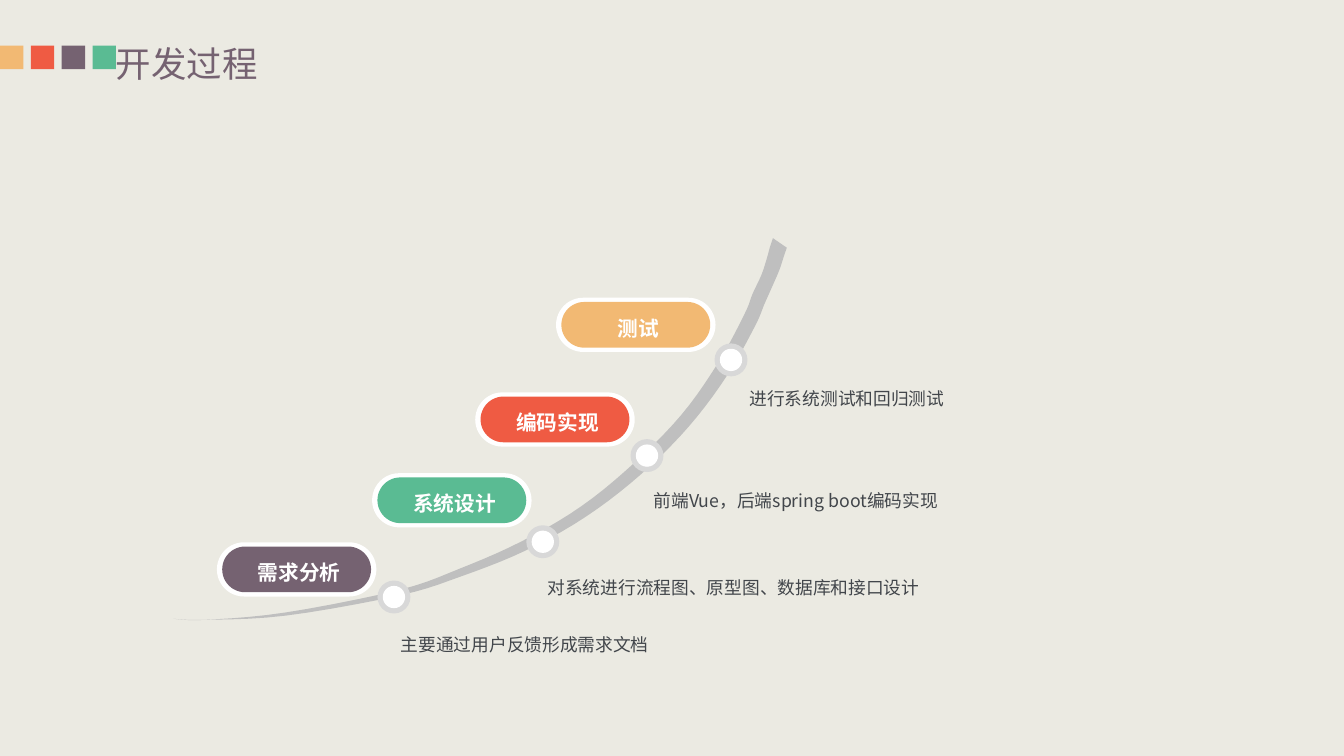
from dataclasses import dataclass

from lxml.etree import SubElement
from pptx import Presentation
from pptx.dml.color import RGBColor
from pptx.enum.shapes import MSO_SHAPE as Preset
from pptx.enum.text import MSO_ANCHOR as Anchor, MSO_AUTO_SIZE as AutoSize, PP_ALIGN as Align
from pptx.oxml.ns import qn
from pptx.shapes.autoshape import Shape
from pptx.slide import Slide
from pptx.text.text import TextFrame
from pptx.util import Emu, Pt

EMU_PER_PX = 9144
FONT = "Noto Sans CJK SC"
PAPER = RGBColor(0xEB, 0xEA, 0xE2)
ORANGE = RGBColor(0xF2, 0xB9, 0x73)
RED = RGBColor(0xEF, 0x5B, 0x43)
PURPLE = RGBColor(0x75, 0x62, 0x71)
GREEN = RGBColor(0x5A, 0xBB, 0x93)
CURVE_GRAY = RGBColor(0xBF, 0xBF, 0xBF)
RING_GRAY = RGBColor(0xD8, 0xD8, 0xD8)
WHITE = RGBColor(0xFF, 0xFF, 0xFF)
INK = RGBColor(0x42, 0x46, 0x4B)

Point = tuple[float, float]

UPPER_EDGE: list[Point] = [
    (163, 582), (193, 583), (269, 576), (375, 555), (432, 535), (491, 509),
    (547, 476), (597, 435), (641, 390), (675, 342), (700, 296), (708, 276),
    (716, 259), (721, 244), (724, 233), (727, 224),
]
LOWER_EDGE: list[Point] = [
    (740, 233), (737, 242), (733, 254), (727, 268), (719, 286), (710, 307),
    (684, 353), (648, 401), (603, 446), (551, 486), (494, 518), (434, 542),
    (376, 560), (269, 579), (192, 583), (163, 582),
]


@dataclass(frozen=True)
class Stage:
    label: str
    detail: str
    color: RGBColor
    pill: tuple[int, int]
    ring: tuple[int, int]
    note: tuple[int, int]


STAGES = [
    Stage("需求分析", "主要通过用户反馈形成需求文档", PURPLE, (204, 510), (355, 546), (377, 593)),
    Stage("系统设计", "对系统进行流程图、原型图、数据库和接口设计", GREEN, (350, 445), (495, 494), (515, 540)),
    Stage("编码实现", "前端Vue，后端spring boot编码实现", RED, (447, 369), (593, 413), (615, 458)),
    Stage("测试", "进行系统测试和回归测试", ORANGE, (523, 280), (672, 323), (705, 362)),
]


def px(length: float) -> Emu:
    return Emu(round(length * EMU_PER_PX))


def paint(shape: Shape, color: RGBColor) -> None:
    shape.shadow.inherit = False
    shape.fill.solid()
    shape.fill.fore_color.rgb = color
    shape.line.fill.background()


def add_preset(page: Slide, preset: Preset, left: int, top: int,
               width: int, height: int, color: RGBColor) -> Shape:
    shape = page.shapes.add_shape(preset, px(left), px(top), px(width), px(height))
    paint(shape, color)
    return shape


def add_pill(page: Slide, left: int, top: int, width: int, height: int, color: RGBColor) -> Shape:
    pill = add_preset(page, Preset.ROUNDED_RECTANGLE, left, top, width, height, color)
    pill.adjustments[0] = 0.5
    return pill


def write(frame: TextFrame, text: str, size: int, color: RGBColor,
          align: Align = Align.LEFT, bold: bool = False) -> None:
    frame.word_wrap = True
    frame.vertical_anchor = Anchor.MIDDLE
    frame.margin_left = frame.margin_right = frame.margin_top = frame.margin_bottom = 0
    para = frame.paragraphs[0]
    para.alignment = align
    para.line_spacing = 1.16
    para.space_before = Pt(0)
    span = para.add_run()
    span.text = text
    span.font.size = Pt(size)
    span.font.bold = bold
    span.font.color.rgb = color
    span.font.name = FONT
    SubElement(span.font._element, qn("a:ea"), typeface=FONT)


def smooth_edge(points: list[Point], steps: int = 5) -> list[Point]:
    padded = [points[0], *points, points[-1]]
    smoothed = [points[0]]
    for before, start, end, after in zip(padded, padded[1:], padded[2:], padded[3:]):
        for step in range(1, steps + 1):
            t = step / steps
            x, y = (
                b + ((c - a) * t + (2 * a - 5 * b + 4 * c - d) * t ** 2
                     + (3 * b - a - 3 * c + d) * t ** 3) / 2
                for a, b, c, d in zip(before, start, end, after)
            )
            smoothed.append((x, y))
    return smoothed


def add_curve(page: Slide) -> None:
    outline = [(px(x), px(y)) for x, y in smooth_edge(UPPER_EDGE) + smooth_edge(LOWER_EDGE)]
    builder = page.shapes.build_freeform(*outline[0])
    builder.add_line_segments(outline[1:], close=True)
    paint(builder.convert_to_shape(), CURVE_GRAY)


def add_header(page: Slide) -> None:
    for index, color in enumerate((ORANGE, RED, PURPLE, GREEN)):
        add_preset(page, Preset.RECTANGLE, index * 29, 43, 22, 22, color)
    title = page.shapes.title
    title.left, title.top, title.width, title.height = px(109), px(34), px(288), px(44)
    write(title.text_frame, "开发过程", 24, PURPLE)
    title.text_frame.auto_size = AutoSize.SHAPE_TO_FIT_TEXT


def add_stage(page: Slide, stage: Stage) -> None:
    left, top = stage.ring
    add_preset(page, Preset.OVAL, left, top, 31, 31, RING_GRAY)
    add_preset(page, Preset.OVAL, left + 5, top + 5, 21, 21, WHITE)

    left, top = stage.pill
    add_pill(page, left, top, 150, 51, WHITE)
    pill = add_pill(page, left + 5, top + 4, 140, 43, stage.color)
    write(pill.text_frame, stage.label, 14, WHITE, Align.CENTER, bold=True)
    pill.text_frame.margin_left = px(5)
    pill.text_frame.margin_top = px(2)

    left, top = stage.note
    box = page.shapes.add_textbox(px(left), px(top), px(378), px(22))
    write(box.text_frame, stage.detail, 12, INK)
    box.text_frame.auto_size = AutoSize.SHAPE_TO_FIT_TEXT


def main() -> None:
    deck = Presentation()
    deck.slide_width, deck.slide_height = px(1264), px(711)
    page = deck.slides.add_slide(deck.slide_layouts[5])
    page.background.fill.solid()
    page.background.fill.fore_color.rgb = PAPER
    add_header(page)
    add_curve(page)
    for stage in STAGES:
        add_stage(page, stage)
    deck.save("out.pptx")


if __name__ == "__main__":
    main()
